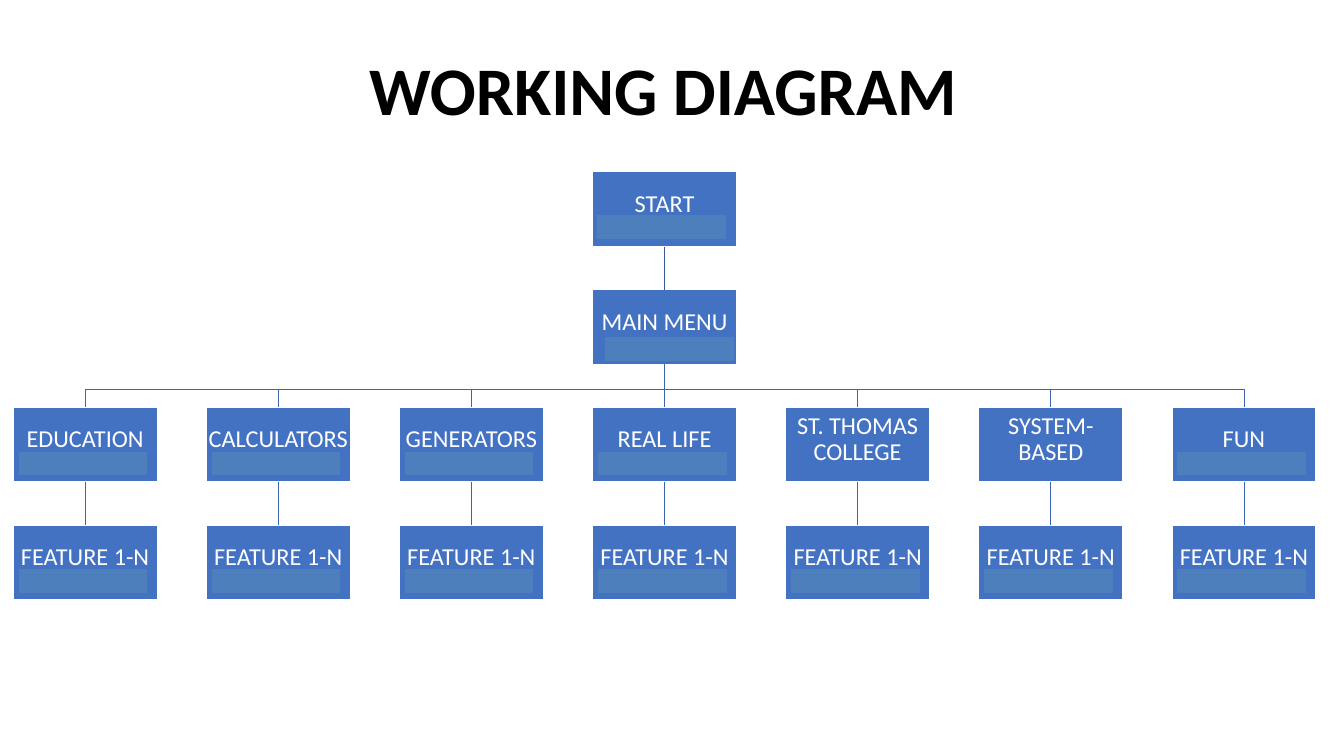
from lxml.etree import SubElement
from pptx import Presentation
from pptx.dml.color import RGBColor
from pptx.enum.shapes import MSO_CONNECTOR, MSO_SHAPE
from pptx.enum.text import MSO_ANCHOR, MSO_AUTO_SIZE, PP_ALIGN
from pptx.oxml.ns import qn
from pptx.util import Cm, Pt

BLUE, BAR_BLUE, WHITE = "4372C3", "4F81BD", "FFFFFF"
START_LINE, BRANCH_LINE = "345A99", "3A66B1"
BOX_WIDTH, BOX_HEIGHT = 5.44, 2.82
COLUMN_LEFT, COLUMN_STEP = 0.5, 7.3
ROW_TOP, ROW_STEP = 6.5, 4.45
MIDDLE = 3
BRANCH_DROP = 0.97

categories = ["EDUCATION", "CALCULATORS", "GENERATORS", "REAL LIFE",
              "ST. THOMAS COLLEGE", "SYSTEM-BASED", "FUN"]
without_bar = {"ST. THOMAS COLLEGE", "SYSTEM-BASED"}
bar_offsets = {"START": (0.15, 1.6), "MAIN MENU": (0.46, 1.78)}


def rgb(value):
    return RGBColor.from_string(value)


def add_rectangle(left, top, width, height, fill, outline):
    rectangle = slide.shapes.add_shape(
        MSO_SHAPE.RECTANGLE, Cm(left), Cm(top), Cm(width), Cm(height))
    rectangle.shadow.inherit = False
    rectangle.fill.solid()
    rectangle.fill.fore_color.rgb = rgb(fill)
    rectangle.line.color.rgb = rgb(outline)
    rectangle.line.width = Pt(1)
    return rectangle


presentation = Presentation()
presentation.slide_width = Cm(50.8)
presentation.slide_height = Cm(28.58)
slide = presentation.slides.add_slide(presentation.slide_layouts[5])

# Title
title = slide.shapes.title
title_place = {"left": Cm(1.9), "top": Cm(1.14), "width": Cm(35.5), "height": Cm(4.78)}
for attribute, value in title_place.items():
    setattr(title, attribute, value)
title_frame = title.text_frame
title_frame.text = "WORKING DIAGRAM"
title_layout = {"margin_left": Cm(12.05), "margin_right": Cm(0.38),
                "margin_top": Cm(0.18), "margin_bottom": Cm(0.18),
                "vertical_anchor": MSO_ANCHOR.MIDDLE,
                "auto_size": MSO_AUTO_SIZE.NONE, "word_wrap": True}
for attribute, value in title_layout.items():
    setattr(title_frame, attribute, value)
heading = title_frame.paragraphs[0]
heading.alignment = PP_ALIGN.LEFT
heading.line_spacing = 0.9
for attribute, value in {"name": "Calibri", "size": Pt(72.9), "bold": True}.items():
    setattr(heading.font, attribute, value)
heading.font.color.rgb = rgb("000000")

# Boxes, as (label, column, row)
steps = [("START", MIDDLE, 0), ("MAIN MENU", MIDDLE, 1)]
for column, category in enumerate(categories):
    steps += [(category, column, 2), ("FEATURE 1-N", column, 3)]

box_layout = {"margin_left": 0, "margin_right": 0, "margin_top": Cm(0.05),
              "margin_bottom": Cm(0.4), "vertical_anchor": MSO_ANCHOR.MIDDLE,
              "word_wrap": True}
boxes = {}
for label, column, row in steps:
    left = COLUMN_LEFT + column * COLUMN_STEP
    top = ROW_TOP + row * ROW_STEP
    box = add_rectangle(left, top, BOX_WIDTH, BOX_HEIGHT, BLUE, WHITE)
    boxes[column, row] = box
    for attribute, value in box_layout.items():
        setattr(box.text_frame, attribute, value)
    box.text_frame.text = label
    caption = box.text_frame.paragraphs[0]
    caption.alignment = PP_ALIGN.CENTER
    caption.line_spacing = 0.9
    for attribute, value in {"name": "Calibri", "size": Pt(26)}.items():
        setattr(caption.font, attribute, value)
    caption.font.color.rgb = rgb(WHITE)

    if label not in without_bar:
        bar_x, bar_y = bar_offsets.get(label, (0.18, 1.65))
        bar = add_rectangle(left + bar_x, top + bar_y, 4.9, 0.94, BAR_BLUE, BLUE)
        bar_color = bar.fill._xPr.find(qn("a:solidFill"))[0]
        SubElement(bar_color, qn("a:alpha"), val="90000")

# Straight links between boxes of one column
links = [((MIDDLE, 0), (MIDDLE, 1), START_LINE), ((MIDDLE, 1), (MIDDLE, 2), BRANCH_LINE)]
links += [((column, 2), (column, 3), BRANCH_LINE) for column in range(len(categories))]
for upper, lower, color in links:
    link = slide.shapes.add_connector(MSO_CONNECTOR.STRAIGHT, 0, 0, 0, 0)
    link.begin_connect(boxes[upper], 2)
    link.end_connect(boxes[lower], 0)
    link.line.color.rgb = rgb(color)
    link.line.width = Pt(1)
    SubElement(link._element.spPr, qn("a:effectLst"))

# Bent branches from the main menu to the other categories
menu = boxes[MIDDLE, 1]
menu_x = menu.left + menu.width // 2
menu_bottom = menu.top + menu.height
bend_y = menu_bottom + Cm(BRANCH_DROP)
for column in range(len(categories)):
    if column == MIDDLE:
        continue
    category_box = boxes[column, 2]
    category_x = category_box.left + category_box.width // 2
    outline = slide.shapes.build_freeform(menu_x, menu_bottom)
    outline.add_line_segments(
        [(menu_x, bend_y), (category_x, bend_y), (category_x, category_box.top)],
        close=False)
    branch = outline.convert_to_shape()
    branch.shadow.inherit = False
    branch.fill.background()
    branch.line.color.rgb = rgb(BRANCH_LINE)
    branch.line.width = Pt(1)

presentation.save("out.pptx")
